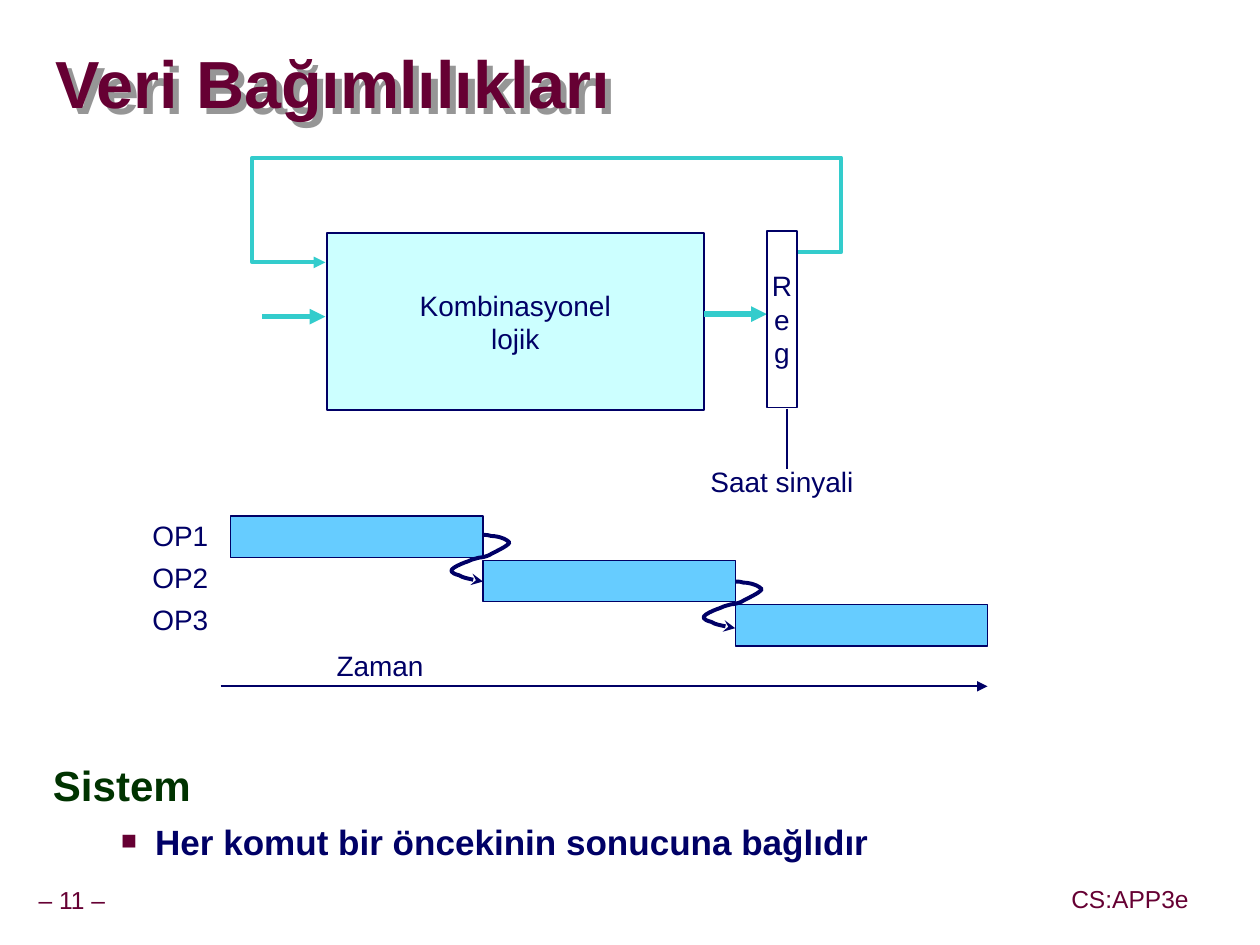
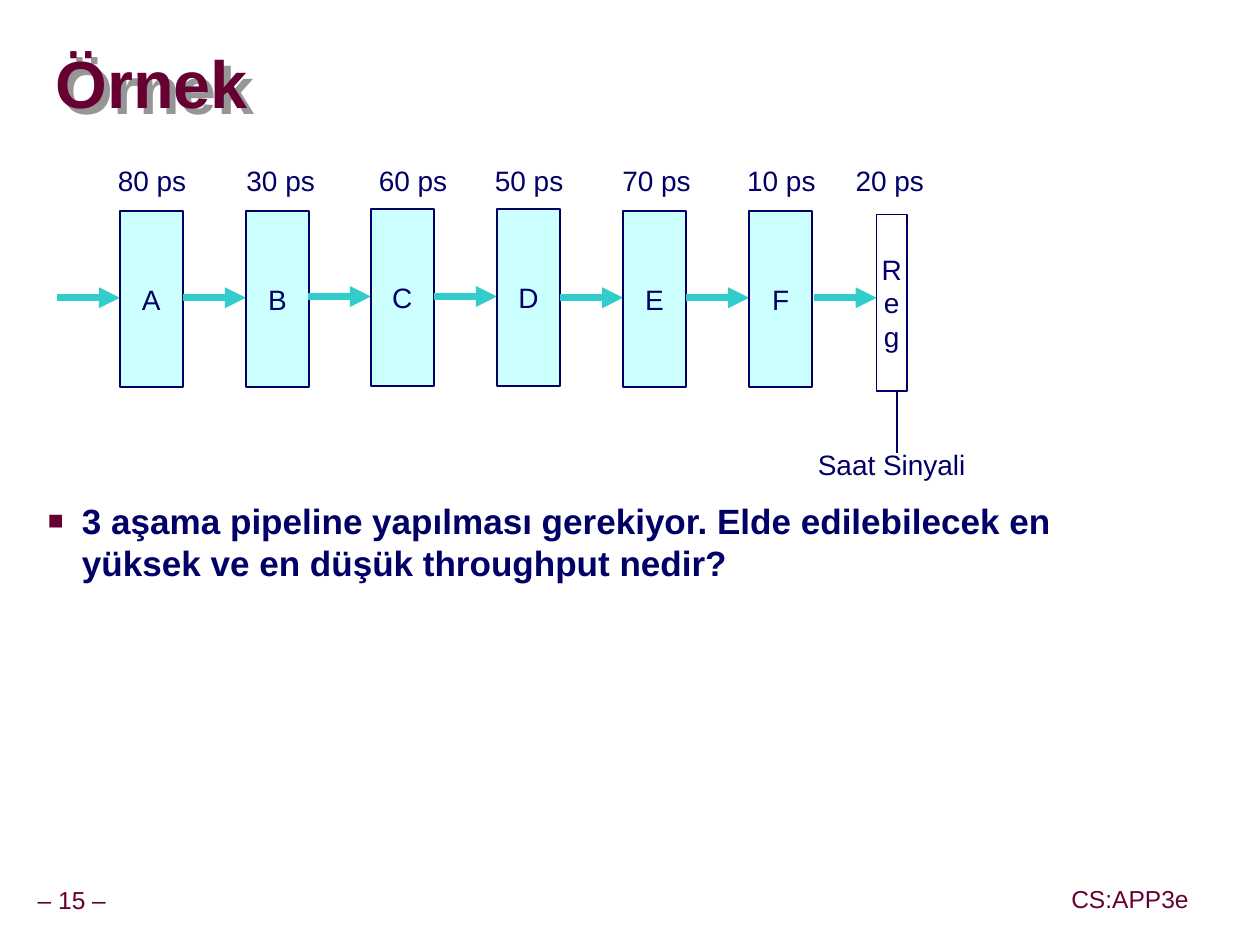
from lxml import etree
from pptx import Presentation
from pptx.dml.color import RGBColor
from pptx.enum.shapes import MSO_CONNECTOR, MSO_SHAPE
from pptx.enum.text import MSO_ANCHOR, MSO_AUTO_SIZE, PP_ALIGN
from pptx.oxml.ns import qn
from pptx.util import Inches, Pt

RECT = MSO_SHAPE.RECTANGLE
LINE = MSO_CONNECTOR.STRAIGHT
MID, TOP = MSO_ANCHOR.MIDDLE, MSO_ANCHOR.TOP
LEFT, CENTER, RIGHT = PP_ALIGN.LEFT, PP_ALIGN.CENTER, PP_ALIGN.RIGHT
FIXED, GROW = MSO_AUTO_SIZE.NONE, MSO_AUTO_SIZE.SHAPE_TO_FIT_TEXT

WINE = RGBColor(0x66, 0x00, 0x33)
NAVY = RGBColor(0x00, 0x00, 0x66)
GREEN = RGBColor(0x00, 0x33, 0x00)
TEAL = RGBColor(0x33, 0xCC, 0xCC)
PALE = RGBColor(0xCC, 0xFF, 0xFF)
BLUE = RGBColor(0x66, 0xCC, 0xFF)
GRAY = RGBColor(0x96, 0x96, 0x96)
WHITE = RGBColor(0xFF, 0xFF, 0xFF)

WIDE, HIGH = 9.99, 7.49
FONT = "Arial"
COURSE = "CS:APP3e"
OPS = ["OP1", "OP2", "OP3"]
STAGES = [("A", "80 ps", .95, 1.2, 0), ("B", "30 ps", 1.95, 2.22, 0),
          ("C", "60 ps", 2.94, 3.27, .01), ("D", "50 ps", 3.94, 4.19, .01),
          ("E", "70 ps", 4.94, 5.2, 0), ("F", "10 ps", 5.94, 6.19, 0)]
REG = ["R", "e", "g"]
LOOP = [(6.33, 2), (6.67, 2), (6.67, 1.25), (2, 1.25), (2, 2.08), (2.58, 2.08)]
CURL = [(0, 0), (.07, 0), (.04, .01), (.09, .01), (.16, .02), (.19, .04),
        (.21, .06), (.2, .09), (.08, .14), (.05, .16), (.03, .17), (-.01, .18),
        (-.03, .18), (-.06, .19), (-.08, .19), (-.12, .21), (-.15, .22),
        (-.2, .24), (-.23, .26), (-.25, .27), (-.25, .28), (-.25, .29),
        (-.24, .3), (-.23, .31), (-.19, .32), (-.16, .34), (-.05, .36),
        (-.02, .37), (0, .36), (0, .36), (0, .37)]


def node(up, tag, **atts):
    return etree.SubElement(up, qn(tag), **atts)


def write(para, text, size, color, bold=False, align=LEFT):
    para.alignment = align
    run = para.add_run()
    run.text = text
    font = run.font
    font.name, font.size, font.bold = FONT, Pt(size), bold
    font.color.rgb = color


def place(shape, x, y, w, h):
    shape.left, shape.top = Inches(x), Inches(y)
    shape.width, shape.height = Inches(w), Inches(h)


def fill_text(frame, rows, size=16, color=NAVY, align=CENTER, anchor=MID):
    frame.word_wrap = False
    frame.vertical_anchor = anchor
    for i, row in enumerate(rows):
        para = frame.add_paragraph() if i else frame.paragraphs[0]
        write(para, row, size, color, align=align)


def label(slide, text, x, y, w, h=.37, **kind):
    box = slide.shapes.add_textbox(Inches(x), Inches(y), Inches(w), Inches(h))
    fill_text(box.text_frame, [text], **{"anchor": TOP, **kind})
    box.text_frame.auto_size = GROW
    return box


def block(slide, x, y, w, h, fill, rows=(), thick=1, align=CENTER):
    box = slide.shapes.add_shape(RECT, Inches(x), Inches(y), Inches(w), Inches(h))
    box.shadow.inherit = False
    box.fill.solid()
    box.fill.fore_color.rgb = fill
    if thick:
        box.line.color.rgb = NAVY
        box.line.width = Pt(thick)
    else:
        box.line.fill.background()
    fill_text(box.text_frame, rows, align=align)


def stroke(shape, color, thick, head):
    shape.line.color.rgb = color
    shape.line.width = Pt(thick)
    if head:
        node(shape.line._get_or_add_ln(), "a:tailEnd", type=head)


def wire(slide, x, y, dx, dy=0, color=TEAL, thick=3, head="triangle"):
    line = slide.shapes.add_connector(
        LINE, Inches(x), Inches(y), Inches(x + dx), Inches(y + dy))
    stroke(line, color, thick, head)
    node(line._element.spPr, "a:effectLst")


def trace(slide, spots, color, head):
    spots = [(Inches(x), Inches(y)) for x, y in spots]
    pen = slide.shapes.build_freeform(*spots[0], scale=1.0)
    pen.add_line_segments(spots[1:], close=False)
    shape = pen.convert_to_shape()
    shape.shadow.inherit = False
    shape.fill.background()
    stroke(shape, color, 2.25, head)
    return shape


def bend(shape):
    legs = list(shape._element.iter(qn("a:lnTo")))
    for i in range(0, len(legs), 3):
        curve = node(legs[i].getparent(), "a:cubicBezTo")
        for leg in legs[i:i + 3]:
            curve.append(leg[0])
            leg.getparent().remove(leg)


def start(deck, title, page, area):
    slide = deck.slides.add_slide(deck.slide_layouts[1])
    head, body = slide.placeholders
    place(head, .44, .27, 9.52, .85)
    frame = head.text_frame
    frame.auto_size = FIXED
    frame.vertical_anchor = MID
    frame.margin_left = frame.margin_right = 0
    frame.margin_top = frame.margin_bottom = 0
    frame.paragraphs[0].line_spacing = .87
    write(frame.paragraphs[0], title, 38, WINE, True)
    glow = node(node(head._element.spPr, "a:effectLst"), "a:outerShdw",
                dist=str(Inches(.07)), dir="2700000", algn="ctr")
    node(glow, "a:srgbClr", val=str(GRAY))
    place(body, *area)
    body.text_frame.auto_size = FIXED
    for text, x, y, w, h in [(f"– {page} –", .24, 6.99, .66, .31),
                             (COURSE, 8.44, 6.98, 1.04, .32)]:
        foot = label(slide, text, x, y, w, h, size=14, color=WINE, anchor=MID)
        frame = foot.text_frame
        frame.margin_left = frame.margin_right = Inches(.05)
        frame.paragraphs[0].line_spacing = .9
    return slide, body.text_frame


def indent(para, left, hang):
    form = para._p.get_or_add_pPr()
    form.set("marL", str(Inches(left)))
    form.set("indent", str(-Inches(hang)))
    para.space_before = Pt(0)
    return form


def bullet(para, text):
    para.level = 1
    form = indent(para, .81, .27)
    node(node(form, "a:buClr"), "a:srgbClr", val=str(WINE))
    node(form, "a:buSzPct", val="75000")
    node(form, "a:buFont", typeface=FONT)
    node(form, "a:buChar", char="■")
    write(para, text, 20, NAVY, True)


def clock(slide, x, y, text, left, w):
    block(slide, x, y, .24, 1.4, WHITE, REG)
    wire(slide, x + .16, y + 1.41, 0, .48, NAVY, 1, None)
    label(slide, text, left, y + 1.8, w)


def depend(deck):
    slide, frame = start(deck, "Veri Bağımlılıkları", 11, (.32, 6, 9.07, 1.03))
    para = frame.paragraphs[0]
    node(indent(para, .42, .42), "a:buNone")
    para.line_spacing = .95
    write(para, "Sistem", 24, GREEN, True)
    para = frame.add_paragraph()
    bullet(para, "Her komut bir öncekinin sonucuna bağlıdır")
    para.space_before = Pt(5)

    wire(slide, 2.08, 2.51, .5)
    block(slide, 2.59, 1.85, 2.99, 1.4, PALE, ["Kombinasyonel", "lojik"])
    wire(slide, 5.58, 2.49, .5)
    clock(slide, 6.08, 1.83, "Saat sinyali", 5.53, 1.34)
    trace(slide, LOOP, TEAL, "triangle")

    wire(slide, 1.75, 5.44, 6.08, 0, NAVY, 1)
    label(slide, "Zaman", 2.57, 5.09, .9, align=LEFT)
    for i, op in enumerate(OPS):
        block(slide, .83, 4.08 + i / 3, .92, .33, WHITE, [op], 0, RIGHT)
    for i in range(len(OPS)):
        x, y = 1.83 + 2 * i, 4.09 + .35 * i
        block(slide, x, y, 2, .33, BLUE, thick=.75)
    for i in range(len(OPS) - 1):
        x, y = 3.83 + 2 * i, 4.24 + .37 * i
        bend(trace(slide, [(x + dx, y + dy) for dx, dy in CURL], NAVY, "stealth"))


def sample(deck):
    slide, frame = start(deck, "Örnek", 15, (-.26, 3.91, 9.59, 2.28))
    bullet(frame.paragraphs[0], "3 aşama pipeline yapılması gerekiyor. Elde edilebilecek "
           "en yüksek ve en düşük throughput nedir?")
    for name, time, x, mid, lift in STAGES:
        wire(slide, x - .5, 2.36 - lift, .5, thick=4)
        block(slide, x, 1.67 - lift, .5, 1.4, PALE, [name])
        label(slide, time, mid - .37, 1.25, .75)
    wire(slide, 6.45, 2.36, .5, thick=4)
    label(slide, "20 ps", 6.68, 1.25, .75)
    clock(slide, 6.95, 1.7, "Saat Sinyali", 6.38, 1.38)


def main():
    deck = Presentation()
    deck.slide_width, deck.slide_height = Inches(WIDE), Inches(HIGH)
    depend(deck)
    sample(deck)
    deck.save("out.pptx")


if __name__ == "__main__":
    main()
